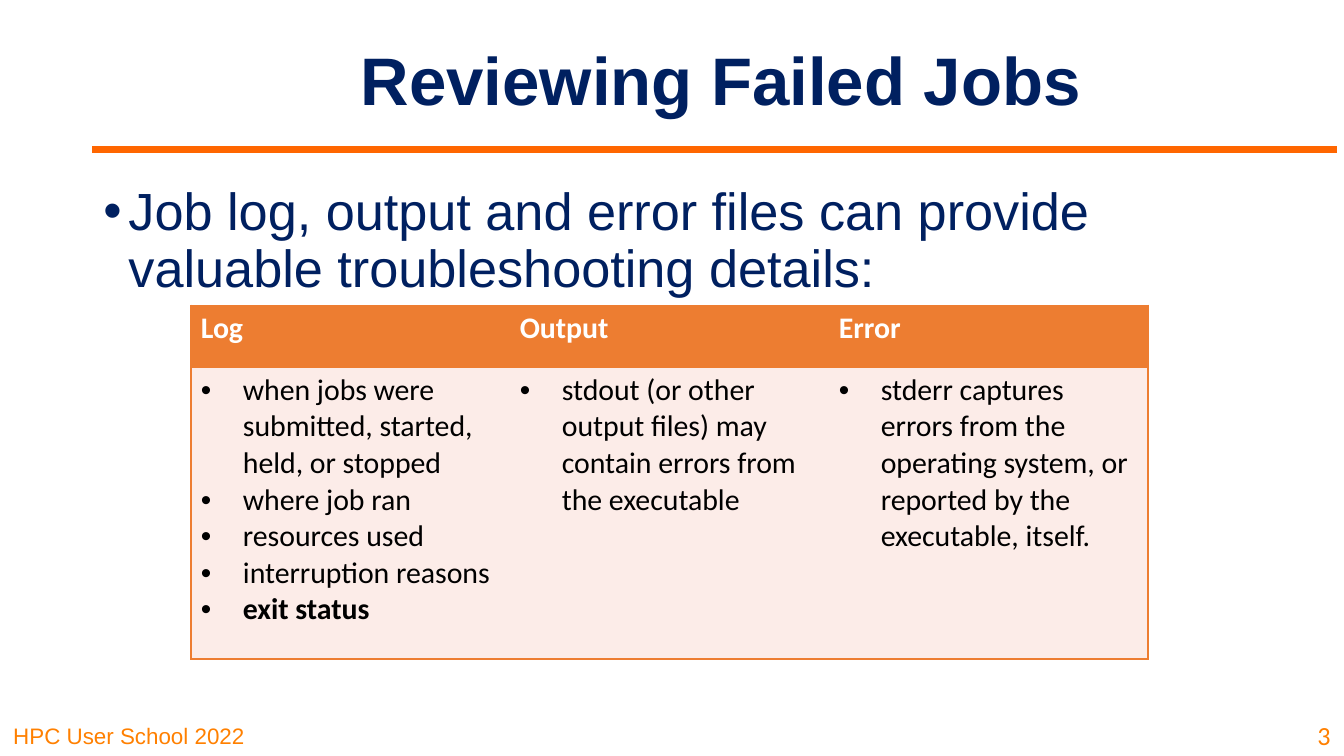
from lxml import etree
from pptx import Presentation
from pptx.dml.color import RGBColor
from pptx.enum.shapes import MSO_CONNECTOR
from pptx.enum.text import MSO_ANCHOR, PP_ALIGN
from pptx.oxml.ns import qn
from pptx.util import Inches, Pt

WIDTH = Inches(10)
HEIGHT = WIDTH * 9 // 16
NAVY = RGBColor(0x00, 0x20, 0x60)
RULE_ORANGE = RGBColor(0xFF, 0x66, 0x00)
FOOTER_ORANGE = RGBColor(0xFF, 0x80, 0x00)
TABLE_ORANGE = RGBColor(0xED, 0x7D, 0x31)
TABLE_TINT = RGBColor(0xFC, 0xEC, 0xE8)
WHITE = RGBColor(0xFF, 0xFF, 0xFF)
BLACK = RGBColor(0x00, 0x00, 0x00)
STRAIGHT = MSO_CONNECTOR.STRAIGHT
TOP, BOTTOM = MSO_ANCHOR.TOP, MSO_ANCHOR.BOTTOM
LEFT, CENTER, RIGHT = PP_ALIGN.LEFT, PP_ALIGN.CENTER, PP_ALIGN.RIGHT

FILE_DETAILS = {
    "Log": [
        "when jobs were submitted, started, held, or stopped",
        "where job ran",
        "resources used",
        "interruption reasons",
        "exit status",
    ],
    "Output": ["stdout (or other output files) may contain errors from the executable"],
    "Error": [
        "stderr captures errors from the operating system, "
        "or reported by the executable, itself."
    ],
}
EMPHASIZED = "exit status"


def across(percent):
    return round(WIDTH * percent / 100)


def down(percent):
    return round(HEIGHT * percent / 100)


def box(left, top, width, height):
    return across(left), down(top), across(width), down(height)


def format_paragraph(paragraph, font_name, size, color, bold=False, align=LEFT):
    paragraph.alignment = align
    for run in paragraph.runs:
        run.font.name = font_name
        run.font.size = Pt(size)
        run.font.color.rgb = color
        run.font.bold = bold


def add_bullet(paragraph, indent):
    properties = paragraph._p.get_or_add_pPr()
    properties.set("marL", str(Pt(indent)))
    properties.set("indent", str(-Pt(indent)))
    font = etree.SubElement(properties, qn("a:buFont"))
    font.set("typeface", "Arial")
    etree.SubElement(properties, qn("a:buChar")).set("char", "•")


def add_title(slide, text):
    title = slide.shapes.title
    title.left, title.top, title.width, title.height = box(14.2, 5.34, 78.9, 12.46)
    frame = title.text_frame
    frame.text = text
    frame.vertical_anchor = TOP
    frame.paragraphs[0].line_spacing = 0.9
    format_paragraph(frame.paragraphs[0], "Arial", 36, NAVY, True, CENTER)


def add_label(slide, area, text, font_name, size, color, anchor=BOTTOM, align=LEFT):
    frame = slide.shapes.add_textbox(*area).text_frame
    frame.word_wrap = True
    frame.vertical_anchor = anchor
    frame.text = text
    paragraph = frame.paragraphs[0]
    format_paragraph(paragraph, font_name, size, color, align=align)
    return paragraph


def add_rule(slide, start, end, level):
    rule = slide.shapes.add_connector(
        STRAIGHT, across(start), down(level), across(end), down(level)
    )
    rule.line.color.rgb = RULE_ORANGE
    rule.line.width = Pt(4)
    etree.SubElement(rule._element.spPr, qn("a:effectLst"))


def set_borders(cell, visible_sides):
    properties = cell._tc.get_or_add_tcPr()
    for position, side in enumerate("LRTB"):
        border = etree.Element(qn(f"a:ln{side}"), w=str(Pt(1)))
        if side in visible_sides:
            fill = etree.SubElement(border, qn("a:solidFill"))
            etree.SubElement(fill, qn("a:srgbClr")).set("val", str(TABLE_ORANGE))
        else:
            etree.SubElement(border, qn("a:noFill"))
        properties.insert(position, border)


def fill_cell(cell, lines, color, background, is_header):
    cell.fill.solid()
    cell.fill.fore_color.rgb = background
    cell.margin_left = cell.margin_right = Pt(5.4)
    cell.margin_top = cell.margin_bottom = Pt(2.7)
    cell.vertical_anchor = TOP
    cell.text_frame.text = "\n".join(lines)
    for paragraph in cell.text_frame.paragraphs:
        bold = is_header or paragraph.text == EMPHASIZED
        format_paragraph(paragraph, "Calibri", 16, color, bold)
        if not is_header:
            add_bullet(paragraph, 22.5)


def add_details_table(slide, details):
    area = box(14.2, 40.4, 71.2, 46.8)
    table = slide.shapes.add_table(2, len(details), *area).table
    table.horz_banding = False
    table.rows[0].height, table.rows[1].height = down(8.15), down(38.61)
    last = len(details) - 1
    for index, (heading, points) in enumerate(details.items()):
        header, body = table.cell(0, index), table.cell(1, index)
        fill_cell(header, [heading], WHITE, TABLE_ORANGE, True)
        fill_cell(body, points, BLACK, TABLE_TINT, False)
        outer = ("L" if index == 0 else "") + ("R" if index == last else "")
        for cell in (header, body):
            set_borders(cell, outer + "TB")


def main():
    presentation = Presentation()
    presentation.slide_width, presentation.slide_height = WIDTH, HEIGHT
    slide = presentation.slides.add_slide(presentation.slide_layouts[5])
    add_rule(slide, 6.88, 99.5, 19.75)
    add_label(slide, box(0, 94.48, 24.8, 5.52), "HPC User School 2022",
              "Arial", 12, FOOTER_ORANGE)
    add_title(slide, "Reviewing Failed Jobs")
    statement = add_label(
        slide, box(6.7, 23.67, 86.2, 63.52),
        "Job log, output and error files can provide valuable troubleshooting details:",
        "Arial", 28, NAVY, TOP)
    statement.line_spacing = 0.9
    statement.space_before = Pt(7.5)
    add_bullet(statement, 13.5)
    add_details_table(slide, FILE_DETAILS)
    add_label(slide, box(95.4, 93.42, 4.6, 6.76), "3",
              "Calibri", 14, FOOTER_ORANGE, align=RIGHT)
    presentation.save("out.pptx")


main()
